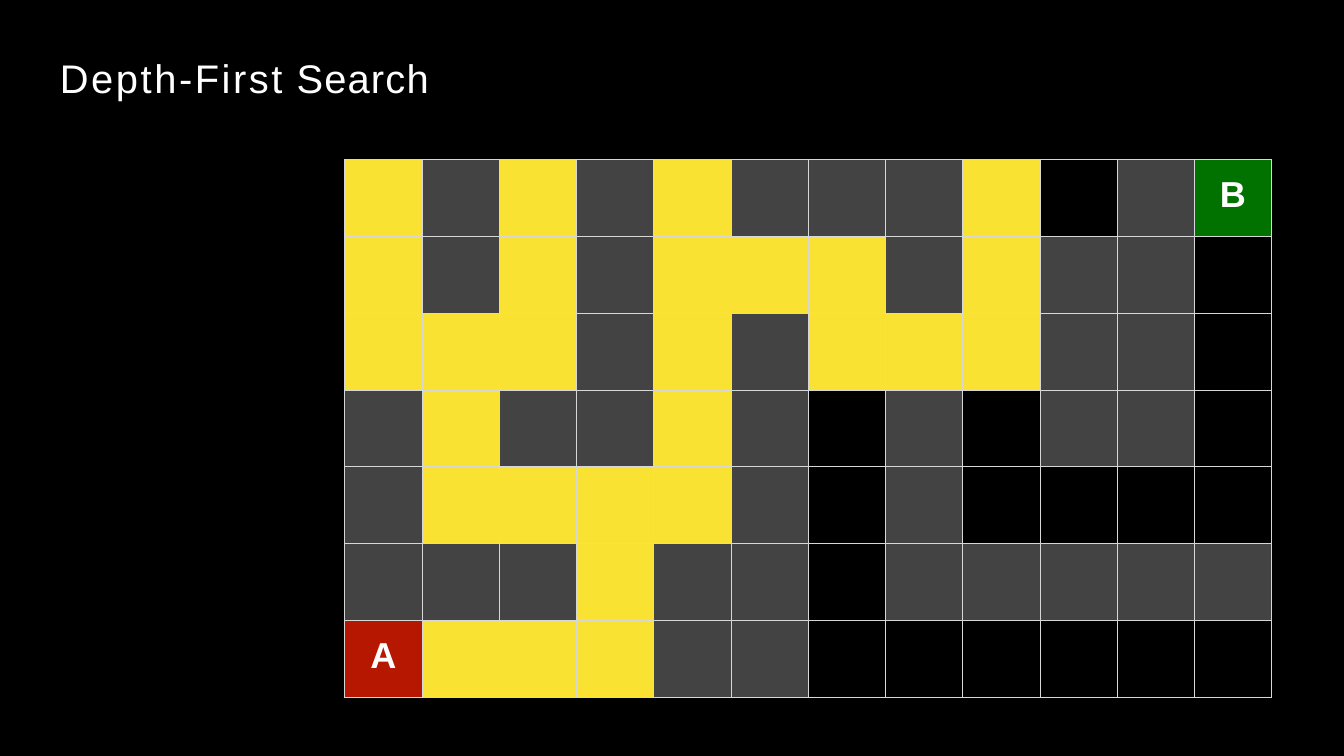
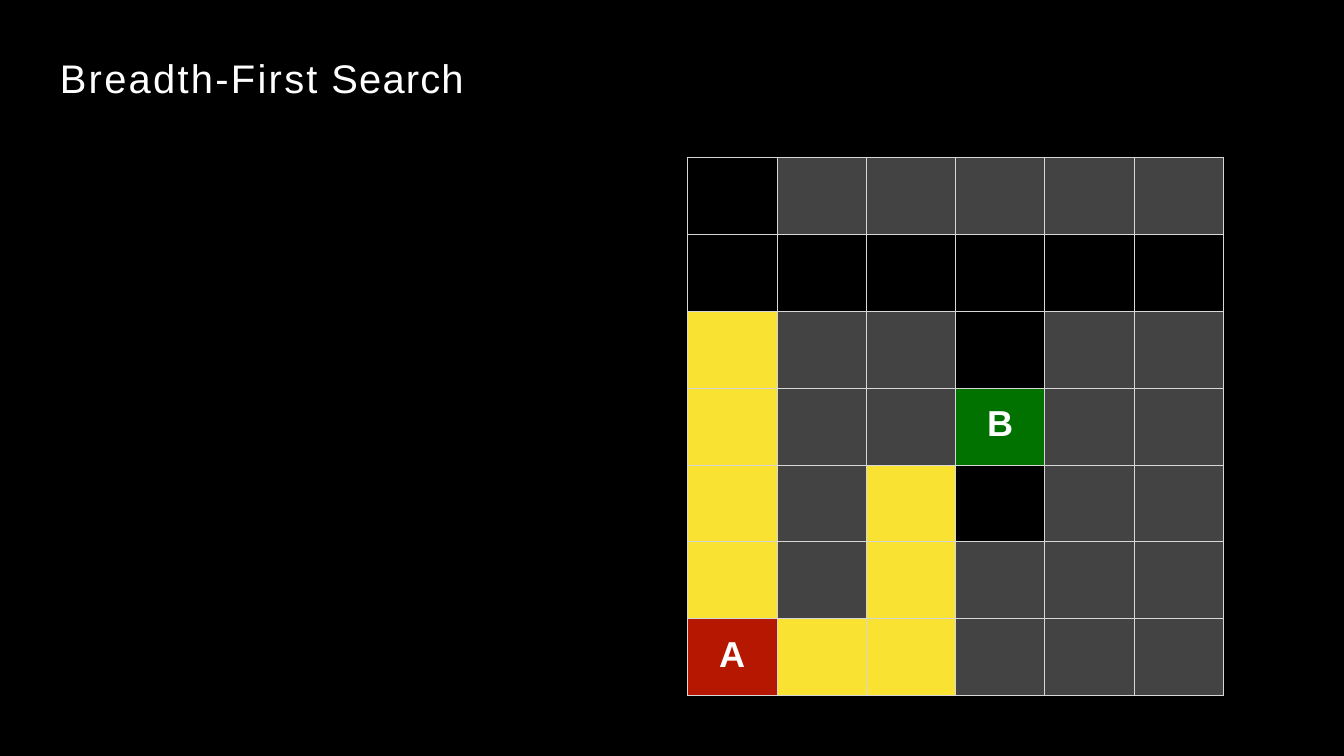
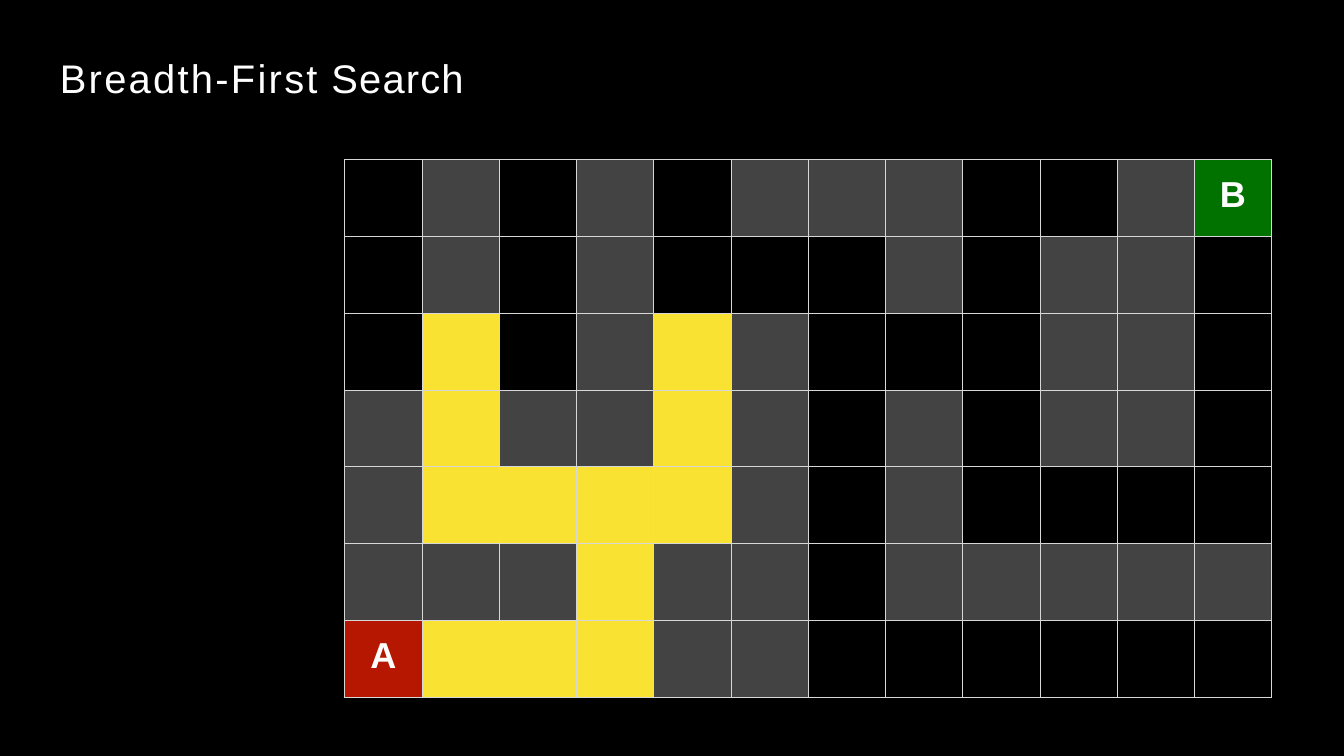
from lxml.etree import SubElement
from pptx import Presentation
from pptx.dml.color import RGBColor
from pptx.enum.shapes import MSO_SHAPE
from pptx.enum.text import MSO_ANCHOR, PP_ALIGN
from pptx.oxml.ns import qn
from pptx.util import Inches, Pt

SLIDE_WIDTH, SLIDE_HEIGHT = Inches(21.99), Inches(12.37)
FONT = "Arial"
BLACK, WHITE, GRID_LINE = "000000", "FFFFFF", "D6D7D6"
WALL, EXPLORED, START, GOAL = "434343", "FAE232", "B51700", "017100"

# "#" wall, "." open, "*" explored by both searches, "d" by depth-first only
WIDE_MAZE = (
    "d#d#d###d.#B",
    "d#d#ddd#d##.",
    "d*d#*#ddd##.",
    "#*##*#.#.##.",
    "#****#.#....",
    "###*##.#####",
    "A***##......",
)
SMALL_MAZE = (
    ".#####",
    "......",
    "*##.##",
    "*##B##",
    "*#*.##",
    "*#*###",
    "A**###",
)
MAZE_HEIGHT = 8.8
WIDE_PLACE = {"left": 5.64, "top": 2.61, "width": 15.17}
SMALL_PLACE = {"left": 11.25, "top": 2.58, "width": 8.77}


def rgb(color):
    return RGBColor.from_string(color)


def set_fill(target, color):
    target.fill.solid()
    target.fill.fore_color.rgb = rgb(color)


def add_text(paragraph, text, *, size, color=WHITE, bold=False, spacing=0):
    """Append a run; spacing is the letter spacing in points."""
    run = paragraph.add_run()
    run.text = text
    font = run.font
    font.name, font.size, font.bold = FONT, Pt(size), bold
    font.color.rgb = rgb(color)
    if spacing:
        run._r.get_or_add_rPr().set("spc", str(round(spacing * 100)))


def add_backdrop(slide):
    backdrop = slide.shapes.add_shape(
        MSO_SHAPE.RECTANGLE, 0, 0, SLIDE_WIDTH, SLIDE_HEIGHT
    )
    backdrop.shadow.inherit = False
    set_fill(backdrop, BLACK)
    backdrop.line.fill.background()


def add_title(slide, first_word, first_spacing):
    box = slide.shapes.add_textbox(Inches(0.96), Inches(0.86), Inches(6.68), Inches(0.81))
    frame = box.text_frame
    frame.word_wrap = True
    frame.margin_left = Inches(0.02)
    frame.margin_top = Inches(0.01)
    frame.margin_right = frame.margin_bottom = 0
    paragraph = frame.paragraphs[0]
    for text, spacing in ((first_word, first_spacing), (" ", 0), ("Search", 1.4)):
        add_text(paragraph, text, size=47, spacing=spacing)


def set_borders(cell, color, width):
    properties = cell._tc.get_or_add_tcPr()
    for side in ("lnL", "lnR", "lnT", "lnB"):
        line = SubElement(properties, qn(f"a:{side}"), w=str(Pt(width)))
        fill = SubElement(line, qn("a:solidFill"))
        SubElement(fill, qn("a:srgbClr"), val=color)


def label_cell(cell, letter):
    cell.margin_left = cell.margin_right = cell.margin_bottom = 0
    cell.margin_top = Inches(0.26)
    cell.vertical_anchor = MSO_ANCHOR.TOP
    paragraph = cell.text_frame.paragraphs[0]
    paragraph.alignment = PP_ALIGN.CENTER
    add_text(paragraph, letter, size=42.5, bold=True)


def add_maze(slide, maze, explored, *, left, top, width):
    """Draw a maze as a table; explored lists the marks shown as visited."""
    fills = {"#": WALL, "A": START, "B": GOAL} | dict.fromkeys(explored, EXPLORED)
    row_count, column_count = len(maze), len(maze[0])
    table = slide.shapes.add_table(
        row_count, column_count,
        Inches(left), Inches(top), Inches(width), Inches(MAZE_HEIGHT),
    ).table
    table.first_row = table.horz_banding = False
    for column in table.columns:
        column.width = Inches(width / column_count)
    for row in table.rows:
        row.height = Inches(MAZE_HEIGHT / row_count)

    for cell, mark in zip(table.iter_cells(), "".join(maze)):
        set_borders(cell, GRID_LINE, 1)
        set_fill(cell, fills.get(mark, BLACK))
        if mark in "AB":
            label_cell(cell, mark)


def main():
    presentation = Presentation()
    presentation.slide_width = SLIDE_WIDTH
    presentation.slide_height = SLIDE_HEIGHT

    for first_word, spacing, maze, explored, place in (
        ("Depth-First", 3, WIDE_MAZE, "*d", WIDE_PLACE),
        ("Breadth-First", 2.7, SMALL_MAZE, "*", SMALL_PLACE),
        ("Breadth-First", 2.7, WIDE_MAZE, "*", WIDE_PLACE),
    ):
        slide = presentation.slides.add_slide(presentation.slide_layouts[6])
        add_backdrop(slide)
        add_maze(slide, maze, explored, **place)
        add_title(slide, first_word, spacing)

    presentation.save("out.pptx")


if __name__ == "__main__":
    main()
